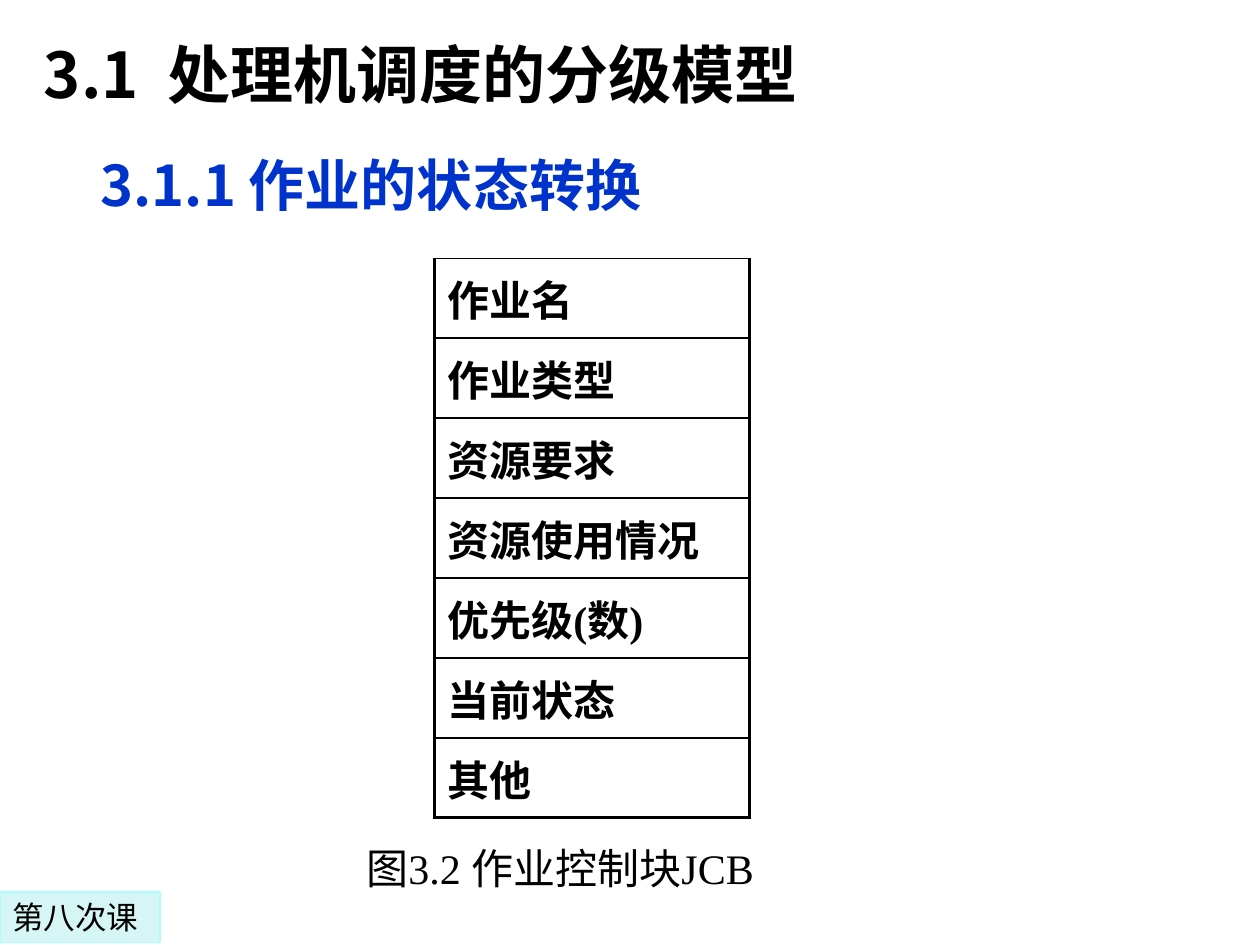
"""Builds a slide on job state transitions with the fields of a job control block."""
import lxml.etree
import pptx
import pptx.dml.color
import pptx.enum.shapes
import pptx.enum.text
import pptx.oxml.ns
import pptx.util

COLORS = {"ink": "000000", "heading": "0033CC", "badge": "D6F5F5", "edge": "ADFFFF"}
SANS, SERIF, LABEL = "Noto Sans CJK SC", "Times New Roman", "DejaVu Sans"
ANCHOR = pptx.enum.text.MSO_ANCHOR
FIELDS = ["作业名", "作业类型", "资源要求", "资源使用情况", "优先级(数)", "当前状态", "其他"]


def rgb(name):
    return pptx.dml.color.RGBColor.from_string(COLORS[name])


class Painter:
    columns, rows = 100, 75

    def __init__(self, deck):
        self.deck = deck
        self.page = deck.slides.add_slide(deck.slide_layouts[6])

    def place(self, left, top, width, height):
        across = self.deck.slide_width / self.columns
        down = self.deck.slide_height / self.rows
        return [round(value) for value in (left * across, top * down, width * across, height * down)]

    def set_words(self, frame, words, face, size, color="ink", bold=False, **layout):
        for key, value in {"word_wrap": True, **layout}.items():
            setattr(frame, key, value)
        para = frame.paragraphs[0]
        para.alignment = pptx.enum.text.PP_ALIGN.LEFT
        span = para.add_run()
        span.text = words
        for key, value in {"name": face, "size": pptx.util.Pt(size), "bold": bold}.items():
            setattr(span.font, key, value)
        span.font.color.rgb = rgb(color)
        asian = lxml.etree.SubElement(span._r.get_or_add_rPr(), pptx.oxml.ns.qn("a:ea"))
        asian.set("typeface", SANS)

    def text(self, area, words, face, size, **style):
        box = self.page.shapes.add_textbox(*self.place(*area))
        self.set_words(box.text_frame, words, face, size, **style)

    def badge(self, area, words):
        kind = pptx.enum.shapes.MSO_SHAPE.RECTANGLE
        shape = self.page.shapes.add_shape(kind, *self.place(*area))
        shape.shadow.inherit = False
        shape.fill.solid()
        shape.fill.fore_color.rgb = rgb("badge")
        shape.line.color.rgb = rgb("edge")
        shape.line.width = pptx.util.Pt(0.75)
        self.set_words(shape.text_frame, words, LABEL, 18, vertical_anchor=ANCHOR.MIDDLE)

    def border(self, cell, widths):
        for side, width in zip("LRTB", widths):
            line = lxml.etree.SubElement(
                cell._tc.get_or_add_tcPr(), pptx.oxml.ns.qn("a:ln" + side), w=str(int(pptx.util.Pt(width))))
            fill = lxml.etree.SubElement(line, pptx.oxml.ns.qn("a:solidFill"))
            lxml.etree.SubElement(fill, pptx.oxml.ns.qn("a:srgbClr"), val=COLORS["ink"])

    def table(self, area, entries):
        table = self.page.shapes.add_table(len(entries), 1, *self.place(*area)).table
        table.first_row = table.horz_banding = False
        for index, words in enumerate(entries):
            cell = table.cell(index, 0)
            last = index == len(entries) - 1
            self.border(cell, (2.25, 2.25, 1, 2.25 if last else 1))
            cell.fill.background()
            cell.vertical_anchor = ANCHOR.MIDDLE
            self.set_words(cell.text_frame, words, SERIF, 24, bold=True)


def main():
    deck = pptx.Presentation()
    deck.slide_width, deck.slide_height = pptx.util.Inches(10), pptx.util.Inches(7.5)
    painter = Painter(deck)
    painter.text((2.5, 2.5, 92.5, 6.6), "3.1  处理机调度的分级模型", SANS, 36,
                 bold=True, vertical_anchor=ANCHOR.MIDDLE)
    painter.text((7, 9.1, 80, 8.2), "3.1.1 作业的状态转换", SANS, 32, color="heading",
                 bold=True, vertical_anchor=ANCHOR.BOTTOM, margin_bottom=0)
    painter.table((34.5, 20.5, 25, 44.4), FIELDS)
    painter.text((28.1, 66.9, 45.5, 5.7), "图3.2 作业控制块JCB", SERIF, 24, margin_top=0)
    painter.badge((0, 70.8, 12.7, 4), "第八次课")
    deck.save("out.pptx")


if __name__ == "__main__":
    main()
